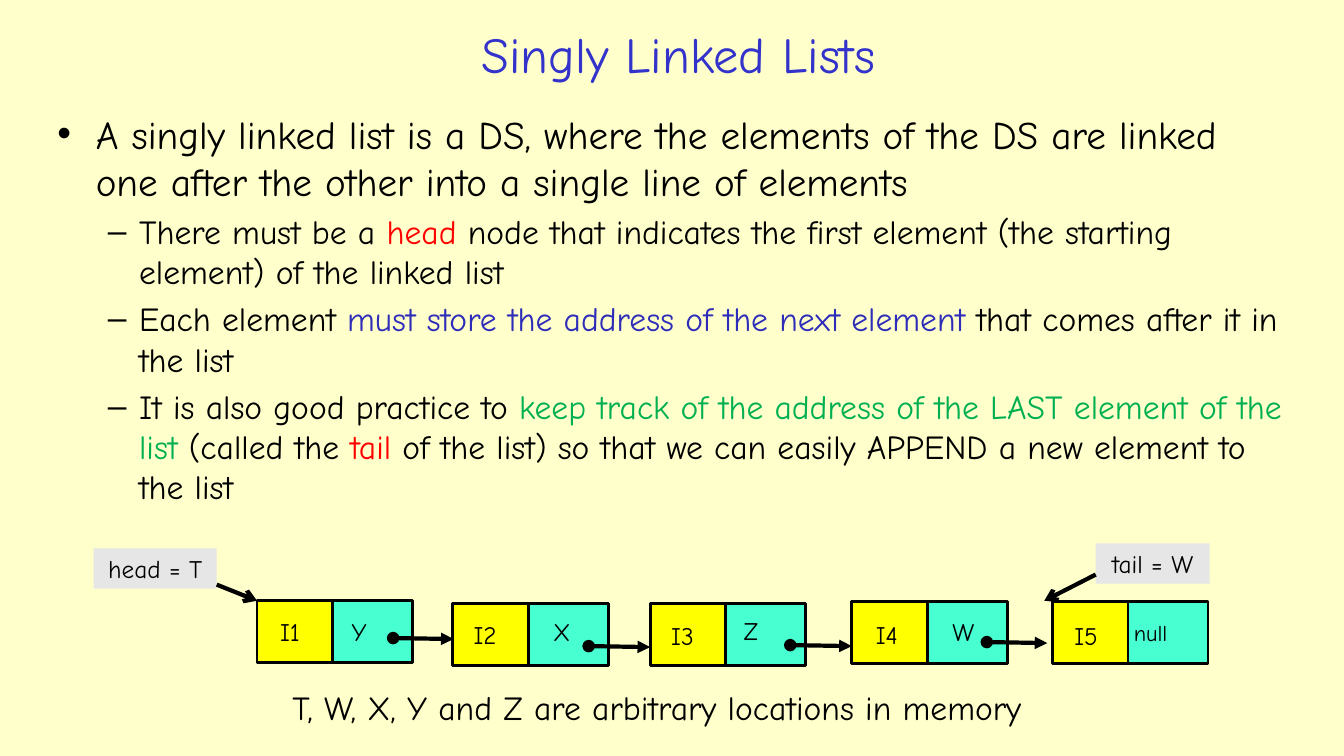
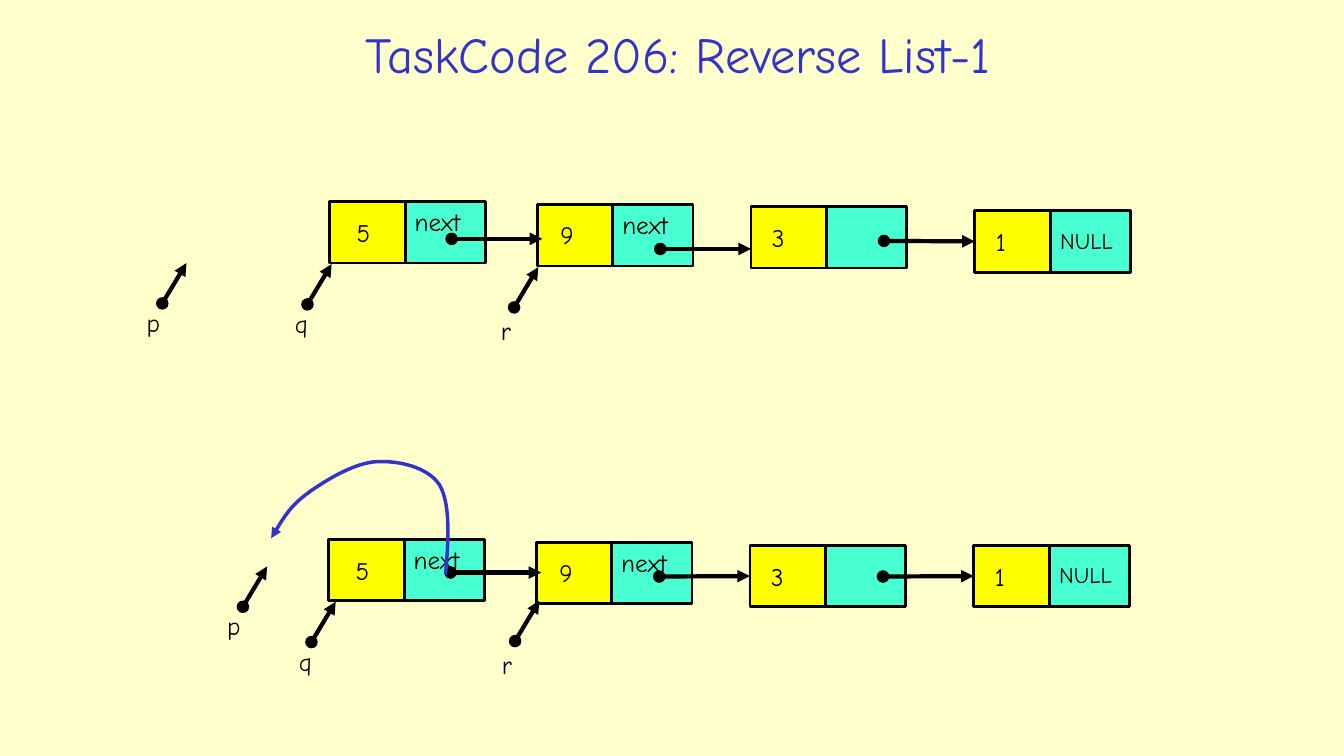
from pptx import Presentation
from pptx.dml.color import RGBColor
from pptx.enum.shapes import MSO_CONNECTOR, MSO_SHAPE
from pptx.enum.text import MSO_ANCHOR, MSO_AUTO_SIZE, PP_ALIGN
from pptx.oxml.ns import qn
from pptx.oxml.xmlchemy import OxmlElement
from pptx.util import Inches, Pt

RECTANGLE = MSO_SHAPE.RECTANGLE
STRAIGHT = MSO_CONNECTOR.STRAIGHT
TOP, MIDDLE = MSO_ANCHOR.TOP, MSO_ANCHOR.MIDDLE
LEFT, CENTER = PP_ALIGN.LEFT, PP_ALIGN.CENTER
NO_FIT = MSO_AUTO_SIZE.NONE

CELL = Inches(0.1)
COLUMNS, ROWS = 133.33, 75
FONT = "Comic Neue"
CREAM, INK, BLUE = "FFFFCC", "000000", "3333CC"
YELLOW, TEAL, GREY = "FFFF00", "47FFD1", "E6E6E6"
RED, NAVY, GREEN = "FF0000", "2D2DB9", "00B050"
VALUE_WIDTH, NEXT_LEFT, NEXT_WIDTH, NODE_HEIGHT = 7.5, 7.45, 8, 6.1
LABEL_WIDTH, LABEL_HEIGHT = 8.4, 4
LEFT_SIDE = 1

LEVELS = [
    {"marker": "•", "size": 28, "margin": 0.38, "indent": -0.38},
    {"marker": "–", "size": 24, "margin": 0.81, "indent": -0.31},
]
BULLETS = [
    (0, [("A singly linked list is a DS, where the elements of the DS are linked "
          "one after the other into a single line of elements", INK)]),
    (1, [("There must be a ", INK), ("head", RED),
         (" node that indicates the first element (the starting element) "
          "of the linked list", INK)]),
    (1, [("Each element ", INK),
         ("must store the address of the next element ", NAVY),
         ("that comes after it in the list", INK)]),
    (1, [("It is also good practice to ", INK),
         ("keep track of the address of the LAST element of the list", GREEN),
         (" (called the ", INK), ("tail", RED),
         (" of the list) so that we can easily APPEND a new element to the list", INK)]),
]

MEMORY_NODES = [
    (0, 0, ("I1", 1.3, 1.1), ("Y", 8.4, 1.1, 18)),
    (19.4, 0.3, ("I2", 1.1, 1), ("X", 9, 0.8, 18)),
    (39, 0.3, ("I3", 1.1, 1.1), ("Z", 8.3, 0.7, 18)),
    (59, 0.1, ("I4", 1.4, 1.2), ("W", 9, 1, 18)),
    (78.9, 0.1, ("I5", 1.2, 1.3), ("null", 7.1, 1.2, 16)),
]
MEMORY_ARROWS = [
    (13.5, 3.7, 19.5, 3.8), (32.9, 4.5, 39, 4.6),
    (52.9, 4.4, 59, 4.5), (72.4, 4.1, 78.4, 4.2),
]
REVERSE_LEFTS = [0, 20.6, 41.8, 64]
REVERSE_VALUES = [("5", 1.7, 1.1), ("9", 1.3, 1), ("3", 1.1, 1.1), ("1", 1.1, 1.1)]
REVERSE_LABELS = ["next", "next", None, ("NULL", 7.5, 1.1, 16)]
REVERSE_STARTS, REVERSE_REACH = [12.1, 32.8, 55], 9
POINTER_LABELS = {"p": (-2.6, -0.1), "q": (-2.3, -0.1), "r": (-2.5, 0.3)}
REVERSE_ROWS = [
    {"box": (32.7, 20), "tops": [0, 0.3, 0.5, 0.9], "arrow_rows": [3.7, 4.7, 3.9],
     "pointers": {"p": (-16.6, 10.1), "q": (-2.2, 10.2), "r": (18.3, 10.5)}},
    {"box": (32.6, 53.5), "tops": [0, 0.3, 0.6, 0.6], "arrow_rows": [3.3, 3.7, 3.7],
     "pointers": {"p": (-8.5, 6.7), "q": (-1.7, 10.2), "r": (18.5, 10.1)}},
]
RETURN_CURVE = [
    (11.6, 3.5), (11.9, 0), (12.1, -3.5), (11, -5.4),
    (9.8, -7.2), (6.9, -7.8), (4.8, -7.7),
    (2.6, -7.6), (-0.2, -5.9), (-1.9, -4.7),
    (-3.7, -3.4), (-4.7, -1.8), (-5.7, -0.1),
]


def cells(*lengths):
    return [round(length * CELL) for length in lengths]


def color(value):
    return RGBColor.from_string(value)


def apply(target, values):
    for name, value in values.items():
        setattr(target, name, value)


def write(paragraph, text, size, ink=INK):
    run = paragraph.add_run()
    run.text = text
    apply(run.font, {"name": FONT, "size": Pt(size), "bold": False})
    run.font.color.rgb = color(ink)


def set_frame(frame, text, size, align=LEFT, wrap=True, anchor=TOP, ink=INK):
    apply(frame, {"word_wrap": wrap, "auto_size": NO_FIT, "vertical_anchor": anchor})
    frame.paragraphs[0].alignment = align
    write(frame.paragraphs[0], text, size, ink)


def add_label(slide, box, text, size=18, **layout):
    shape = slide.shapes.add_textbox(*cells(*box))
    set_frame(shape.text_frame, text, size, **layout)


def add_box(slide, box, fill, outlined=True):
    shape = slide.shapes.add_shape(RECTANGLE, *cells(*box))
    shape.shadow.inherit = False
    shape.fill.solid()
    shape.fill.fore_color.rgb = color(fill)
    if outlined:
        set_line(shape.line, INK, 2)
    else:
        shape.line.fill.background()
    return shape


def set_line(line, ink, width, head=None, tail=None):
    line.color.rgb = color(ink)
    line.width = Pt(width)
    for tag, kind in (("a:headEnd", head), ("a:tailEnd", tail)):
        if kind:
            end = OxmlElement(tag)
            end.set("type", kind)
            line._get_or_add_ln().append(end)


def add_arrow(slide, start, end, head="oval", tail="triangle"):
    connector = slide.shapes.add_connector(STRAIGHT, *cells(*start, *end))
    set_line(connector.line, INK, 3, head, tail)
    connector._element.spPr.append(OxmlElement("a:effectLst"))
    return connector


def add_node(slide, left, top, value, label):
    next_box = add_box(slide, (left + NEXT_LEFT, top, NEXT_WIDTH, NODE_HEIGHT), TEAL)
    value_box = add_box(slide, (left, top, VALUE_WIDTH, NODE_HEIGHT), YELLOW)
    text, column, row = value
    add_label(slide, (left + column, top + row, VALUE_WIDTH, LABEL_HEIGHT), text)
    if isinstance(label, str):
        set_frame(next_box.text_frame, label, 18)
    elif label:
        text, column, row, size = label
        add_label(slide, (left + column, top + row, LABEL_WIDTH, LABEL_HEIGHT), text, size)
    return value_box


def add_chain(slide, box, nodes, arrows):
    left, top = box
    value_boxes = [add_node(slide, left + column, top + row, value, label)
                   for column, row, value, label in nodes]
    for (x1, y1, x2, y2), node, target in zip(arrows, nodes[1:], value_boxes[1:]):
        arrow = add_arrow(slide, (left + x1, top + y1), (left + x2, top + y2))
        off_side = abs(x2 - node[0])
        off_middle = abs(y2 - node[1] - NODE_HEIGHT / 2)
        if max(off_side, off_middle) < 0.15:
            arrow.end_connect(target, LEFT_SIDE)


def add_pointer(slide, left, top, name):
    column, row = POINTER_LABELS[name]
    add_arrow(slide, (left, top), (left + 2.4, top - 4))
    add_label(slide, (left + column, top + row, 3.4, LABEL_HEIGHT), name,
              align=CENTER, wrap=False)


def add_tag(slide, box, text, start, end):
    shape = add_box(slide, box, GREY, outlined=False)
    set_frame(shape.text_frame, text, 18, align=CENTER, wrap=False, anchor=MIDDLE)
    add_arrow(slide, start, end, head=None, tail="arrow")


def add_curve(slide, box, points):
    left, top = box
    corners = [tuple(cells(left + x, top + y)) for x, y in points]
    builder = slide.shapes.build_freeform(*corners[0])
    builder.add_line_segments(corners[1:], close=False)
    shape = builder.convert_to_shape()
    shape.shadow.inherit = False
    shape.fill.background()
    set_line(shape.line, BLUE, 2.5, tail="triangle")
    segments = list(shape._element.iter(qn("a:lnTo")))
    for first in range(0, len(segments), 3):
        bezier = OxmlElement("a:cubicBezTo")
        segments[first].addprevious(bezier)
        for segment in segments[first:first + 3]:
            bezier.append(segment[0])
            segment.getparent().remove(segment)


def place(shape, box):
    apply(shape, dict(zip(("left", "top", "width", "height"), cells(*box))))


def add_titled_slide(presentation, layout, title):
    slide = presentation.slides.add_slide(presentation.slide_layouts[layout])
    place(slide.shapes.title, (19.7, 1.5, 95.2, 7.6))
    set_frame(slide.shapes.title.text_frame, title, 36, CENTER, anchor=MIDDLE, ink=BLUE)
    return slide


def fill_body(body, box):
    place(body, box)
    frame = body.text_frame
    apply(frame, {"word_wrap": True, "auto_size": NO_FIT, "vertical_anchor": TOP})
    for index, (level, runs) in enumerate(BULLETS):
        paragraph = frame.add_paragraph() if index else frame.paragraphs[0]
        style = LEVELS[level]
        properties = paragraph._p.get_or_add_pPr()
        properties.set("marL", str(Inches(style["margin"])))
        properties.set("indent", str(Inches(style["indent"])))
        bullet = OxmlElement("a:buChar")
        bullet.set("char", style["marker"])
        properties.append(bullet)
        space = Pt(0.2 * style["size"]) if index else Pt(0)
        apply(paragraph, {"level": level, "space_before": space})
        for text, ink in runs:
            write(paragraph, text, style["size"], ink)


def build_singly_linked(presentation):
    slide = add_titled_slide(presentation, 1, "Singly Linked Lists")
    fill_body(slide.placeholders[1], (4.7, 10.4, 124, 41.7))
    add_chain(slide, (25.5, 59.6), MEMORY_NODES, MEMORY_ARROWS)
    add_tag(slide, (9.3, 54.4, 12.2, 4), "head = T", (21.5, 58), (25.5, 59.6))
    add_tag(slide, (108.7, 53.9, 11.3, 4), "tail = W", (108.7, 57), (103.6, 59.6))
    add_label(slide, (9.3, 67.7, 111.7, 5),
              "T, W, X, Y and Z are arbitrary locations in memory", 24, align=CENTER)


def add_reverse_row(slide, box, tops, arrow_rows, pointers):
    left, top = box
    nodes = list(zip(REVERSE_LEFTS, tops, REVERSE_VALUES, REVERSE_LABELS))
    arrows = [(start, row, start + REVERSE_REACH, row)
              for start, row in zip(REVERSE_STARTS, arrow_rows)]
    add_chain(slide, box, nodes, arrows)
    for name, (column, row) in pointers.items():
        add_pointer(slide, left + column, top + row, name)


def build_reverse_list(presentation):
    slide = add_titled_slide(presentation, 5, "TaskCode 206: Reverse List-1")
    for row in REVERSE_ROWS:
        add_reverse_row(slide, **row)
    add_curve(slide, REVERSE_ROWS[-1]["box"], RETURN_CURVE)


def main():
    presentation = Presentation()
    presentation.slide_width, presentation.slide_height = cells(COLUMNS, ROWS)
    background = presentation.slide_master.background.fill
    background.solid()
    background.fore_color.rgb = color(CREAM)
    build_singly_linked(presentation)
    build_reverse_list(presentation)
    presentation.save("out.pptx")


if __name__ == "__main__":
    main()
